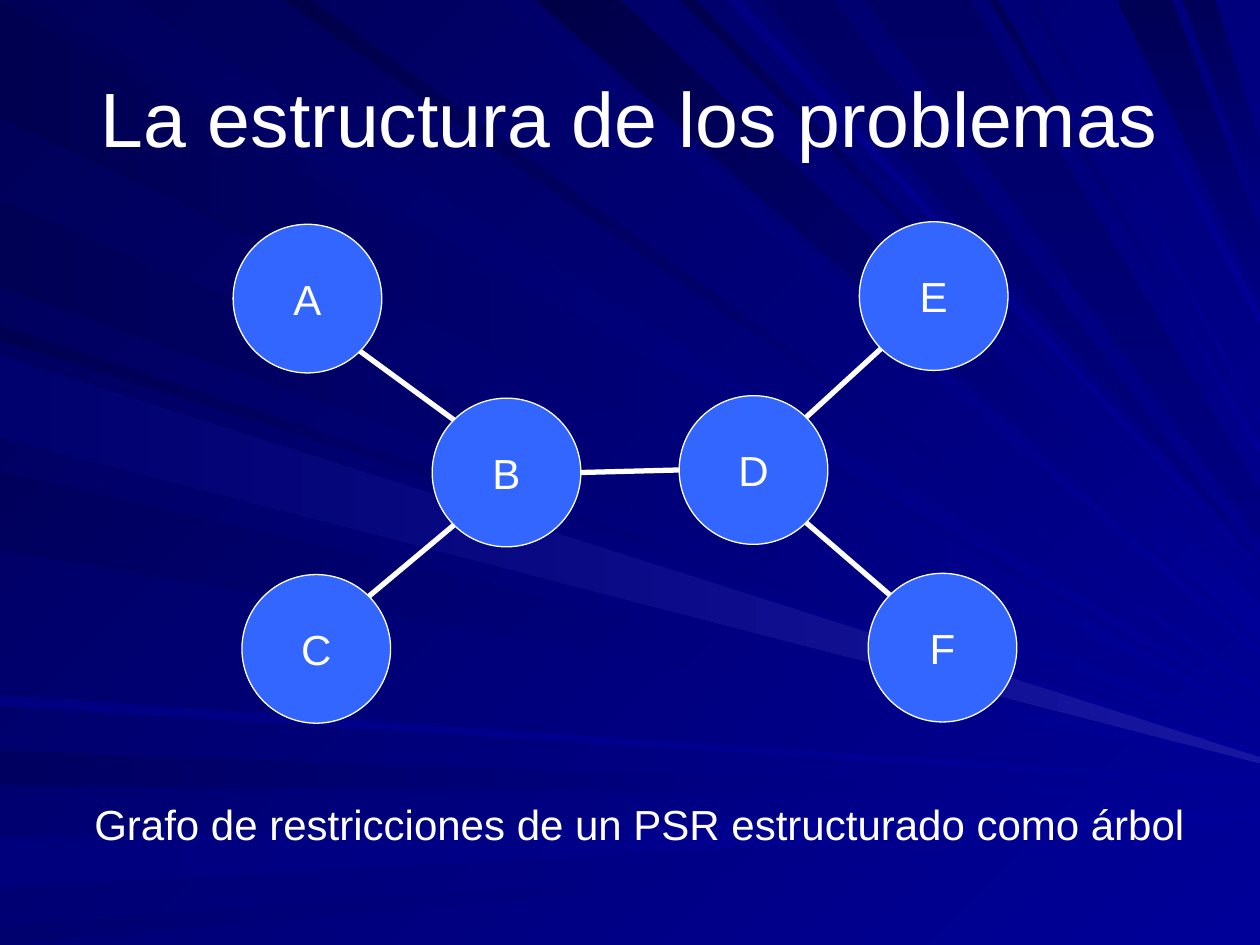
"""Build a slide with a tree-structured constraint graph over a backdrop of light rays."""
import math

from lxml import etree
from pptx import Presentation
from pptx.dml.color import RGBColor
from pptx.enum import shapes, text
from pptx.oxml.ns import qn
from pptx.util import Inches, Pt

WHITE = RGBColor(0xFF, 0xFF, 0xFF)
NODE_BLUE = RGBColor(0x33, 0x66, 0xFF)
LIGHT = RGBColor(0x00, 0x00, 0x99)
MID = RGBColor(0x00, 0x00, 0x80)
DARK = RGBColor(0x00, 0x00, 0x57)
LEFT, UP_LEFT, UP = 180, 135, 90


def shade(fill, near, far, angle):
    fill.gradient()
    fill.gradient_angle = angle
    for stop, color in zip(fill.gradient_stops, (near, far)):
        stop.color.rgb = color


def style_text(frame, size, align):
    paragraph = frame.paragraphs[0]
    paragraph.alignment = align
    font = paragraph.runs[0].font
    font.name, font.size, font.color.rgb = "Arial", Pt(size), WHITE


deck = Presentation()
deck.slide_width, deck.slide_height = Inches(10), Inches(7.5)
slide = deck.slides.add_slide(deck.slide_layouts[5])
shade(slide.background.fill, LIGHT, DARK, UP_LEFT)

ray_groups = [
    ("left", LIGHT, LEFT, [
        (2, 93, 570, 1, "51"), (596, 623, 632, 1, "60"), (665, 704, 651, 8, "7C"),
        (735, 750, 662, 1, "6E"), (258, 270, 589, 1, "53"), (159, 228, 585, 1, "55")]),
    ("top", LIGHT, UP_LEFT, [
        (26, 101, 563, 1, "5C"), (398, 416, 521, 6, "6A"), (426, 492, 507, 28, "46"),
        (540, 552, 463, 1, "4E")]),
    ("top", MID, UP, [
        (606, 661, 446, 1, "64"), (887, 930, 237, 54, "55"), (939, 964, 167, 53, "59")]),
    ("left", LIGHT, UP_LEFT, [
        (278, 342, 602, 6, "60"), (374, 437, 606, 1, "5C"), (552, 560, 623, 2, "81")]),
    ("top", LIGHT, UP_LEFT, [(225, 247, 552, 5, "4A"), (577, 588, 454, 1, "81")]),
    ("top", MID, UP, [(686, 770, 428, 38, "64")]),
    ("top", LIGHT, UP_LEFT, [
        (785, 792, 360, 6, "57"), (815, 824, 336, 1, "6E"), (865, 872, 258, 9, "78")]),
    ("left", RGBColor(0x16, 0x16, 0xA1), LEFT, [(283, 347, 606, 5, "6E")]),
]
rays = slide.shapes.add_group_shape()
for edge, near, angle, group in ray_groups:
    for start, end, tip, spread, level in group:
        base = [(0, end), (0, start)] if edge == "left" else [(start, 0), (end, 0)]
        outline = rays.shapes.build_freeform(1000, tip, scale=Inches(0.01))
        outline.add_line_segments(base + [(1000, tip - spread)], close=True)
        ray = outline.convert_to_shape()
        ray.shadow.inherit = False
        ray.line.fill.background()
        shade(ray.fill, near, RGBColor.from_string("0000" + level), angle)

title = slide.shapes.title
title.element.addprevious(rays.element)
title.left, title.top, title.width, title.height = Inches(0.5), Inches(0.3), Inches(9), Inches(1.25)
title.text_frame.text = "La estructura de los problemas"
title.text_frame.auto_size = text.MSO_AUTO_SIZE.NONE
title.text_frame.vertical_anchor = text.MSO_ANCHOR.MIDDLE
style_text(title.text_frame, 44, text.PP_ALIGN.CENTER)

radius = 0.59
centers = {"A": (2.44, 2.37), "B": (4.02, 3.75), "C": (2.51, 5.15),
           "E": (7.41, 2.35), "D": (5.98, 3.73), "F": (7.48, 5.14)}
for letter, (x, y) in centers.items():
    node = slide.shapes.add_shape(shapes.MSO_SHAPE.OVAL, Inches(x - radius), Inches(y - radius),
                                  Inches(2 * radius), Inches(2 * radius))
    node.shadow.inherit = False
    node.fill.solid()
    node.fill.fore_color.rgb = NODE_BLUE
    node.line.color.rgb = WHITE
    node.line.width = Pt(0.75)
    node.text_frame.text = letter
    node.text_frame.word_wrap = False
    node.text_frame.vertical_anchor = text.MSO_ANCHOR.MIDDLE
    style_text(node.text_frame, 24, text.PP_ALIGN.CENTER)

constraints = [("B", 0, "D", 180), ("B", 225, "A", 45), ("C", 315, "B", 135),
               ("D", 45, "F", 225), ("D", 315, "E", 135)]
for start, start_angle, end, end_angle in constraints:
    ends = []
    for letter, angle in ((start, start_angle), (end, end_angle)):
        x, y = centers[letter]
        ends += [Inches(x + radius * math.cos(math.radians(angle))),
                 Inches(y + radius * math.sin(math.radians(angle)))]
    constraint = slide.shapes.add_connector(shapes.MSO_CONNECTOR.STRAIGHT, *ends)
    constraint.line.color.rgb = WHITE
    constraint.line.width = Pt(3)
    etree.SubElement(constraint.element.spPr, qn("a:effectLst"))

caption = slide.shapes.add_textbox(Inches(0.65), Inches(6.29), Inches(8.85), Inches(0.5))
caption.text_frame.text = "Grafo de restricciones de un PSR estructurado como árbol"
caption.text_frame.word_wrap = False
caption.text_frame.auto_size = text.MSO_AUTO_SIZE.SHAPE_TO_FIT_TEXT
style_text(caption.text_frame, 24, text.PP_ALIGN.LEFT)

deck.save("out.pptx")
